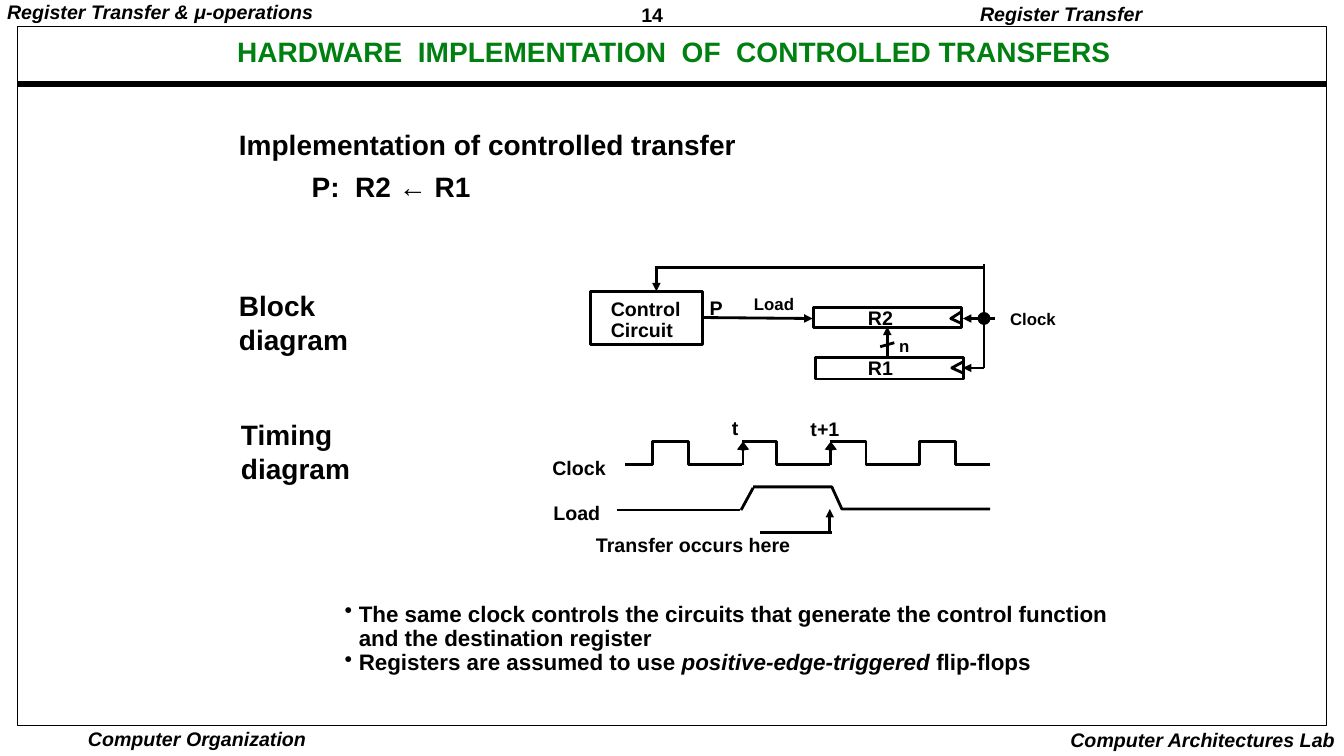
"""Build the slide on hardware for controlled register transfers."""
from dataclasses import dataclass

from lxml import etree
from pptx import Presentation
from pptx.dml.color import RGBColor
from pptx.enum.shapes import MSO_CONNECTOR, MSO_SHAPE
from pptx.enum.text import MSO_AUTO_SIZE, PP_ALIGN
from pptx.oxml.ns import qn
from pptx.util import Pt

PX = 9144
LEFT, MID, RIGHT = PP_ALIGN.LEFT, PP_ALIGN.CENTER, PP_ALIGN.RIGHT
RECT, OVAL = MSO_SHAPE.RECTANGLE, MSO_SHAPE.OVAL
STRAIGHT = MSO_CONNECTOR.STRAIGHT
GROW = MSO_AUTO_SIZE.SHAPE_TO_FIT_TEXT


@dataclass(frozen=True)
class Theme:
    font: str = "Arial"
    ink: RGBColor = RGBColor(0, 0, 0)
    paper: RGBColor = RGBColor(255, 255, 255)
    green: RGBColor = RGBColor(0, 0x80, 0x11)
    head: int = 20
    body: int = 16
    label: int = 14
    small: int = 12
    wire: float = 2
    rule: float = 4.5
    frame: float = 0.5


T = Theme()
deck = Presentation()
deck.slide_width, deck.slide_height = 1333 * PX, 750 * PX
slide = deck.slides.add_slide(deck.slide_layouts[6])
shapes = slide.shapes


def write(box, paras, size, space=0.9, inset=(10, 5), align=LEFT,
          color=T.ink, slant=False, wrap=False, bullet=False):
    area = shapes.add_textbox(*(n * PX for n in box)).text_frame
    area.word_wrap = wrap
    area.auto_size = GROW
    area.margin_left = area.margin_right = inset[0] * PX
    area.margin_top = area.margin_bottom = inset[1] * PX
    for i, runs in enumerate(paras):
        para = area.add_paragraph() if i else area.paragraphs[0]
        para.alignment, para.line_spacing = align, space
        if bullet:
            props = para._p.get_or_add_pPr()
            props.set("marL", str(14 * PX))
            props.set("indent", str(-14 * PX))
            etree.SubElement(props, qn("a:buChar")).set("char", "•")
        for j, words in enumerate(runs):
            run = para.add_run()
            run.text = words
            font = run.font
            font.name, font.size, font.bold = T.font, Pt(size), True
            font.italic = slant or j == 1
            font.color.rgb = color


def draw(points, width=T.wire, arrow=False):
    if len(points) == 2:
        path = shapes.add_connector(STRAIGHT, *(n * PX for p in points for n in p))
    else:
        pen = shapes.build_freeform(*points[0], scale=PX)
        pen.add_line_segments(points[1:], close=False)
        path = pen.convert_to_shape()
        path.fill.background()
    path.line.color.rgb, path.line.width = T.ink, Pt(width)
    props = path._element.spPr
    if arrow:
        etree.SubElement(props.find(qn("a:ln")), qn("a:tailEnd")).set("type", "triangle")
    etree.SubElement(props, qn("a:effectLst"))


for kind, box, fill, width in (
    (RECT, (17, 26, 1299, 694), None, T.frame),
    (RECT, (586, 289, 111, 53), T.paper, T.wire),
    (RECT, (807, 305, 147, 20), T.paper, T.wire),
    (RECT, (809, 355, 147, 21), T.paper, T.wire),
    (OVAL, (971, 311, 10, 10), T.ink, T.wire),
):
    part = shapes.add_shape(kind, *(n * PX for n in box))
    part.shadow.inherit = False
    part.line.color.rgb, part.line.width = T.ink, Pt(width)
    if fill is None:
        part.fill.background()
    else:
        part.fill.solid()
        part.fill.fore_color.rgb = fill

draw([(17, 83), (1316, 83)], T.rule)

for points in (
    [(976, 262), (976, 365)],
    [(975, 265), (650, 265)],
    [(887, 340), (873, 344)],
    [(954, 309), (943, 316), (954, 321)],
    [(955, 359), (944, 365), (955, 370)],
    [(620, 461), (647, 461), (647, 438), (683, 438), (683, 461), (736, 461)],
    [(736, 438), (770, 438), (770, 461), (823, 461)],
    [(823, 438), (859, 438), (859, 461), (912, 461),
     (912, 438), (948, 438), (948, 461), (982, 461)],
    [(612, 506), (734, 506)],
    [(735, 506), (747, 484)],
    [(747, 483), (825, 483), (835, 505), (982, 505)],
    [(825, 528), (754, 528)],
):
    draw(points)

for points in (
    [(651, 265), (651, 289)],
    [(697, 315), (806, 316)],
    [(987, 316), (955, 316)],
    [(976, 365), (955, 365)],
    [(880, 354), (880, 324)],
    [(823, 529), (823, 505)],
):
    draw(points, arrow=True)

for x in (737, 824):
    draw([(x, 461), (x, 443)])
    pen = shapes.build_freeform(x, 438, scale=PX)
    pen.add_line_segments([(x + 6, 446), (x, 447), (x - 6, 446)])
    edge = pen.convert_to_shape()
    edge.shadow.inherit = False
    edge.fill.solid()
    edge.fill.fore_color.rgb = T.ink
    edge.line.fill.background()

for box, words, space, inset, align in (
    ((0, 0, 319, 48), "Register Transfer & μ-operations", 0.9, (7, 3), LEFT),
    ((961, 0, 182, 31), "Register Transfer", 0.9, (10, 5), RIGHT),
    ((84, 720, 223, 26), "Computer Organization", 1.0, (3, 1), MID),
    ((1050, 717, 284, 33), "Computer Architectures Lab", 1.0, (10, 5), RIGHT),
):
    write(box, [[words]], T.label, space, inset, align, slant=True)

write((629, 0, 38, 29), [["14"]], T.label, 1.01, (7, 3))
write((210, 35, 917, 36), [["HARDWARE  IMPLEMENTATION  OF  CONTROLLED TRANSFERS"]],
      T.head, 0.9, (7, 3), MID, T.green, wrap=True)

for box, words, space, wrap in (
    ((230, 123, 513, 40), "Implementation of controlled transfer", 1.02, False),
    ((302, 162, 172, 43), "P:  R2 ← R1", 1.11, False),
    ((230, 283, 150, 72), "Block diagram", 1.01, True),
    ((232, 411, 150, 72), "Timing diagram", 1.01, True),
):
    write(box, [[words]], T.head, space, (7, 3), wrap=wrap)

for box, words, size in (
    ((992, 304, 66, 28), "Clock", T.small),
    ((738, 289, 60, 28), "Load", T.small),
    ((882, 330, 30, 28), "n", T.small),
    ((851, 301, 45, 31), "R2", T.label),
    ((851, 351, 45, 31), "R1", T.label),
    ((694, 291, 33, 31), "P", T.label),
    ((538, 450, 73, 31), "Clock", T.label),
    ((539, 495, 67, 31), "Load", T.label),
    ((716, 410, 26, 31), "t", T.label),
    ((794, 411, 49, 31), "t+1", T.label),
):
    write(box, [[words]], size)

write((596, 292, 95, 50), [["Control"], ["Circuit"]], T.label)
write((584, 527, 209, 28), [["Transfer occurs here"]], T.label, 0.97, (7, 3))
write((332, 593, 780, 82), [
    ["The same clock controls the circuits that generate the control function "
     "and the destination register"],
    ["Registers are assumed to use ", "positive-edge-triggered", " flip-flops"],
], T.body, wrap=True, bullet=True)

deck.save("out.pptx")
